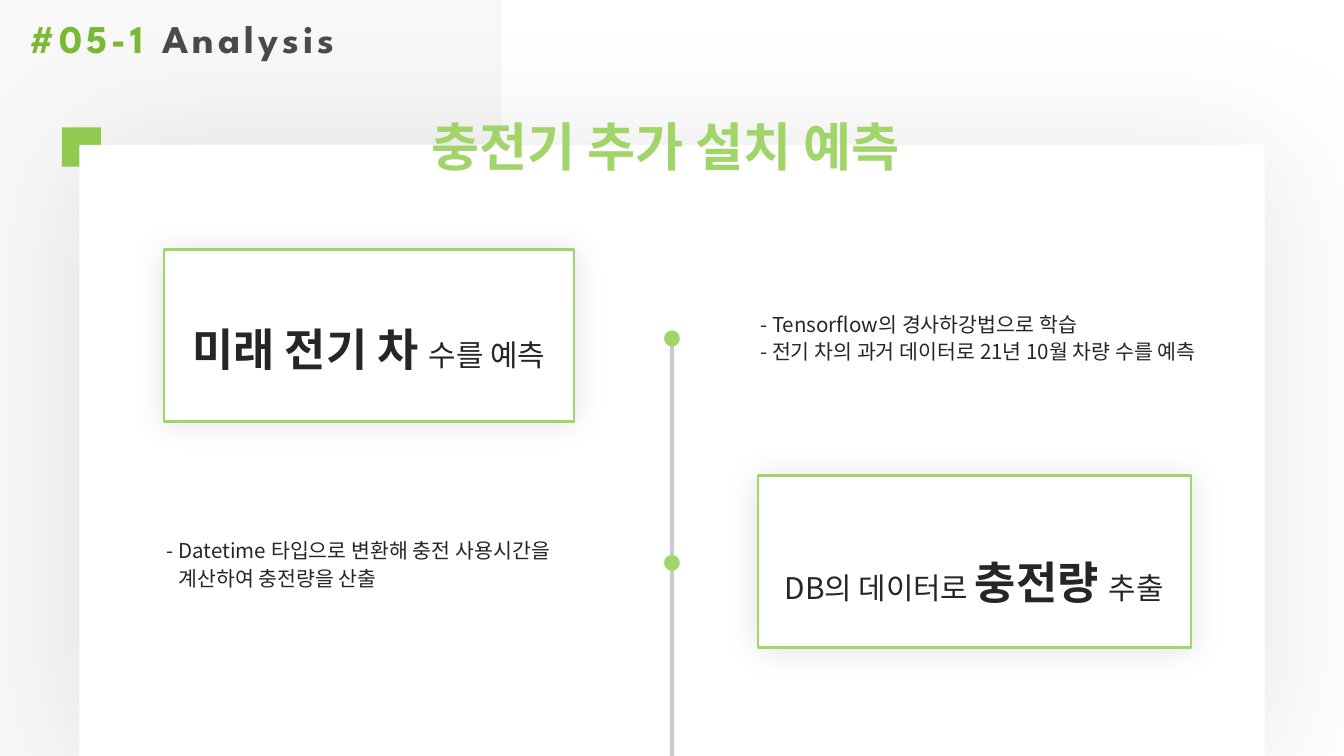
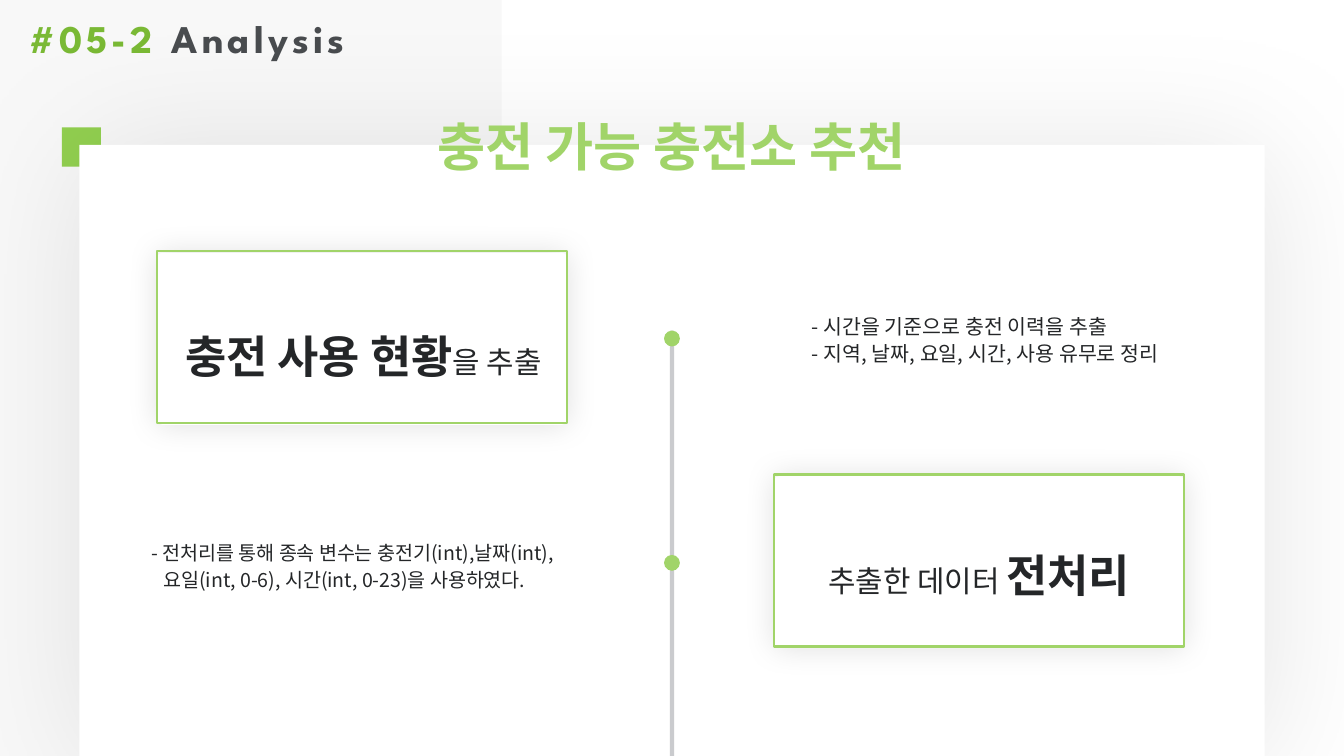
from dataclasses import dataclass

from lxml.etree import SubElement
from pptx import Presentation
from pptx.dml.color import RGBColor
from pptx.enum.shapes import MSO_CONNECTOR as Connector, MSO_SHAPE as Preset
from pptx.enum.text import MSO_ANCHOR as Anchor, MSO_AUTO_SIZE as AutoSize, PP_ALIGN as Align
from pptx.oxml.ns import qn
from pptx.util import Cm, Pt

COLORS = {
    "band": "BFBFBF",
    "number": "7AB935",
    "section": "494C4F",
    "corner": "92D050",
    "paper": "FFFFFF",
    "accent": "A1D469",
    "axis": "111420",
    "ink": "242628",
    "shadow": "000000",
}
HEADER_FONT = "League Spartan"
KOREAN_FONT = "Noto Sans CJK KR"
WIDTH, HEIGHT = 25.4, 14.29
CENTER = WIDTH / 2
STEP_TOPS = (6.25, 10.49)
DOT = 0.3
CARD_HEIGHT = 3.25
STRONG = {"size": Pt(24), "bold": True}
PLAIN = {"size": Pt(16), "bold": False}
HEADLINE = {"size": Pt(28), "bold": True}
HEADER = {"size": Pt(21), "bold": True}


@dataclass(frozen=True)
class Box:
    left: float
    top: float
    width: float
    height: float

    def lengths(self) -> tuple:
        return Cm(self.left), Cm(self.top), Cm(self.width), Cm(self.height)


@dataclass(frozen=True)
class Shadow:
    alpha: int
    blur: float
    distance: float = 0
    angle: int = 0


@dataclass(frozen=True)
class Step:
    card: Box
    label: Box
    words: tuple
    label_anchor: Anchor
    note: Box
    lines: tuple
    note_anchor: Anchor = Anchor.MIDDLE
    note_size: float = 11
    second_indent: float = 0


@dataclass(frozen=True)
class Analysis:
    number: str
    headline: str
    steps: tuple


PAPER_SHADOW = Shadow(10, 77, 5, 45)
CARD_SHADOW = Shadow(13, 17)

ANALYSES = (
    Analysis("#05-1 ", "충전기 추가 설치 예측 ", (
        Step(Box(3.1, 4.72, 7.75, CARD_HEIGHT), Box(2.97, 5.56, 8, 1.55),
             (("미래 전기 차 ", STRONG), ("수를 예측", PLAIN)), Anchor.MIDDLE,
             Box(14.12, 5.72, 9.98, 1.27),
             ("- Tensorflow의 경사하강법으로 학습",
              "- 전기 차의 과거 데이터로 21년 10월 차량 수를 예측")),
        Step(Box(14.33, 8.99, 8.18, CARD_HEIGHT), Box(14.22, 9.86, 8.38, 1.55),
             (("DB의 데이터로 ", PLAIN), ("충전량 ", STRONG), ("추출", PLAIN)), Anchor.TOP,
             Box(2.9, 10.01, 8.56, 1.27),
             ("- Datetime 타입으로 변환해 충전 사용시간을",
              "계산하여 충전량을 산출"), second_indent=0.22),
    )),
    Analysis("#05-2 ", "충전 가능 충전소 추천", (
        Step(Box(2.97, 4.75, 7.75, CARD_HEIGHT), Box(2.87, 5.59, 8, 1.55),
             (("충전 사용 현황", STRONG), ("을 추출", PLAIN)), Anchor.TOP,
             Box(15.09, 5.77, 7.85, 1.27),
             ("- 시간을 기준으로 충전 이력을 추출",
              "- 지역, 날짜, 요일, 시간, 사용 유무로 정리")),
        Step(Box(14.63, 8.97, 7.75, CARD_HEIGHT), Box(15.09, 9.83, 6.83, 1.55),
             (("추출한 데이터 ", PLAIN), ("전처리", STRONG)), Anchor.MIDDLE,
             Box(2.62, 10.03, 8.94, 1.24),
             ("- 전처리를 통해 종속 변수는 충전기(int),날짜(int),",
              "요일(int, 0-6), 시간(int, 0-23)을 사용하였다."),
             Anchor.TOP, 10.5, 0.22),
    )),
)


def rgb(color: str) -> RGBColor:
    return RGBColor.from_string(COLORS[color])


def set_alpha(parent, percent: int) -> None:
    for color in parent.iter(qn("a:srgbClr")):
        SubElement(color, qn("a:alpha"), val=str(percent * 1000))


def add_shadow(shape, shadow: Shadow) -> None:
    effects = shape.element.spPr.find(qn("a:effectLst"))
    outer = SubElement(effects, qn("a:outerShdw"), blurRad=str(Pt(shadow.blur)),
                       dist=str(Pt(shadow.distance)), dir=str(shadow.angle * 60000),
                       algn="ctr", rotWithShape="0")
    SubElement(outer, qn("a:srgbClr"), val=COLORS["shadow"])
    set_alpha(outer, shadow.alpha)


def add_filled(slide, preset: Preset, box: Box, color: str):
    shape = slide.shapes.add_shape(preset, *box.lengths())
    shape.shadow.inherit = False
    shape.fill.solid()
    shape.fill.fore_color.rgb = rgb(color)
    shape.line.fill.background()
    return shape


def add_run(paragraph, text: str, style: dict, color: str, face: str = KOREAN_FONT):
    run = paragraph.add_run()
    run.text = text
    for attribute, value in {**style, "name": face}.items():
        setattr(run.font, attribute, value)
    run.font.color.rgb = rgb(color)
    SubElement(run.font._element, qn("a:ea"), typeface=face)
    return run


def format_frame(frame, anchor: Anchor) -> None:
    settings = {"word_wrap": True, "auto_size": AutoSize.SHAPE_TO_FIT_TEXT,
                "vertical_anchor": anchor}
    for attribute, value in settings.items():
        setattr(frame, attribute, value)


def add_text(slide, box: Box, anchor: Anchor = Anchor.TOP):
    frame = slide.shapes.add_textbox(*box.lengths()).text_frame
    format_frame(frame, anchor)
    return frame


def add_header(slide, number: str) -> None:
    header = slide.shapes.title
    header.left, header.top, header.width, header.height = Box(0.3, 0.15, 11.79, 1.14).lengths()
    format_frame(header.text_frame, Anchor.TOP)
    paragraph = header.text_frame.paragraphs[0]
    paragraph.alignment = Align.LEFT
    for text, color in ((number, "number"), ("Analysis", "section")):
        run = add_run(paragraph, text, HEADER, color, HEADER_FONT)
        run.font._element.set("spc", "220")


def add_backdrop(slide) -> None:
    band = add_filled(slide, Preset.RECTANGLE, Box(-1.24, 0, 10.72, HEIGHT), "band")
    set_alpha(band.element, 10)
    slide.shapes.title.element.addprevious(band.element)
    add_filled(slide, Preset.RECTANGLE, Box(1.17, 2.41, 0.74, 0.74), "corner")
    paper = add_filled(slide, Preset.RECTANGLE, Box(1.5, 2.74, 22.4, HEIGHT - 2.74), "paper")
    add_shadow(paper, PAPER_SHADOW)


def add_card(slide, box: Box) -> None:
    lower = Box(box.left, box.top + 0.03, box.width, box.height)
    base = add_filled(slide, Preset.ROUNDED_RECTANGLE, lower, "paper")
    base.adjustments[0] = 0.03
    add_shadow(base, CARD_SHADOW)
    frame = slide.shapes.add_shape(Preset.ROUNDED_RECTANGLE, *box.lengths())
    frame.shadow.inherit = False
    frame.adjustments[0] = 0
    frame.fill.background()
    frame.line.color.rgb = rgb("accent")
    frame.line.width = Pt(1.25)


def add_timeline(slide) -> None:
    axis = slide.shapes.add_connector(Connector.STRAIGHT, Cm(CENTER), Cm(STEP_TOPS[0]),
                                      Cm(CENTER), Cm(HEIGHT))
    axis.line.color.rgb = rgb("axis")
    axis.line.width = Pt(2.25)
    set_alpha(axis.element, 21)
    SubElement(axis.element.spPr, qn("a:effectLst"))
    for top in STEP_TOPS:
        add_filled(slide, Preset.OVAL, Box(CENTER - DOT / 2, top, DOT, DOT), "accent")


def add_headline(slide, text: str) -> None:
    paragraph = add_text(slide, Box(4.27, 1.98, 16.84, 1.5)).paragraphs[0]
    paragraph.alignment = Align.CENTER
    paragraph.line_spacing = Pt(35)
    add_run(paragraph, text, HEADLINE, "accent")


def add_step_text(slide, step: Step) -> None:
    label = add_text(slide, step.label, step.label_anchor).paragraphs[0]
    label.alignment = Align.CENTER
    label.line_spacing = 1.5
    for text, style in step.words:
        add_run(label, text, style, "ink")

    note = add_text(slide, step.note, step.note_anchor)
    for index, line in enumerate(step.lines):
        paragraph = note.add_paragraph() if index else note.paragraphs[0]
        paragraph.line_spacing = Pt(14.5)
        if index and step.second_indent:
            paragraph._p.get_or_add_pPr().set("marL", str(Cm(step.second_indent)))
        add_run(paragraph, line, {"size": Pt(step.note_size)}, "ink")


def build_slide(deck, analysis: Analysis) -> None:
    slide = deck.slides.add_slide(deck.slide_layouts[5])
    add_header(slide, analysis.number)
    add_backdrop(slide)
    for step in analysis.steps:
        add_card(slide, step.card)
    add_timeline(slide)
    add_headline(slide, analysis.headline)
    for step in analysis.steps:
        add_step_text(slide, step)


def main() -> None:
    deck = Presentation()
    deck.slide_width, deck.slide_height = Cm(WIDTH), Cm(HEIGHT)
    for analysis in ANALYSES:
        build_slide(deck, analysis)
    deck.save("out.pptx")


if __name__ == "__main__":
    main()
